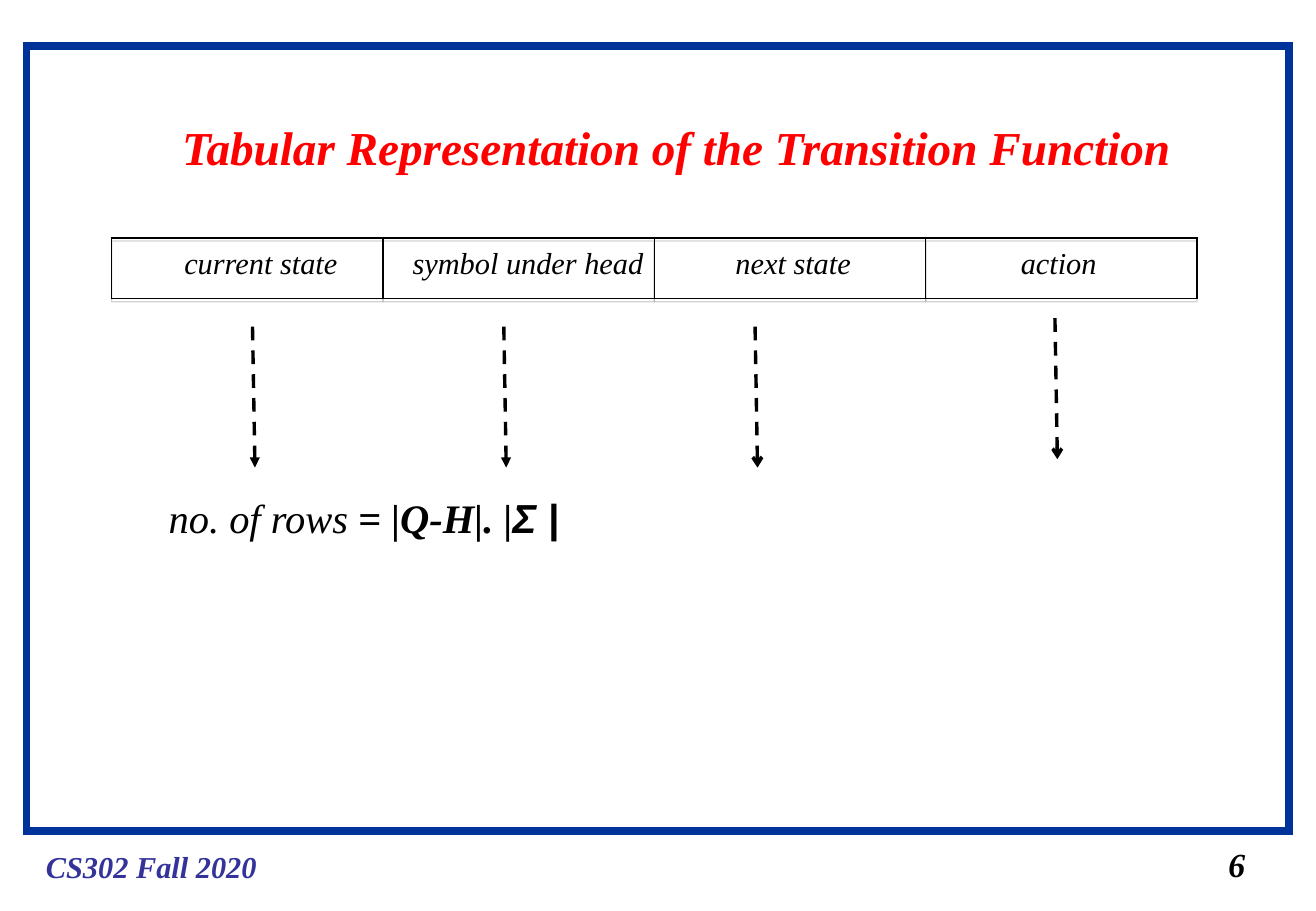
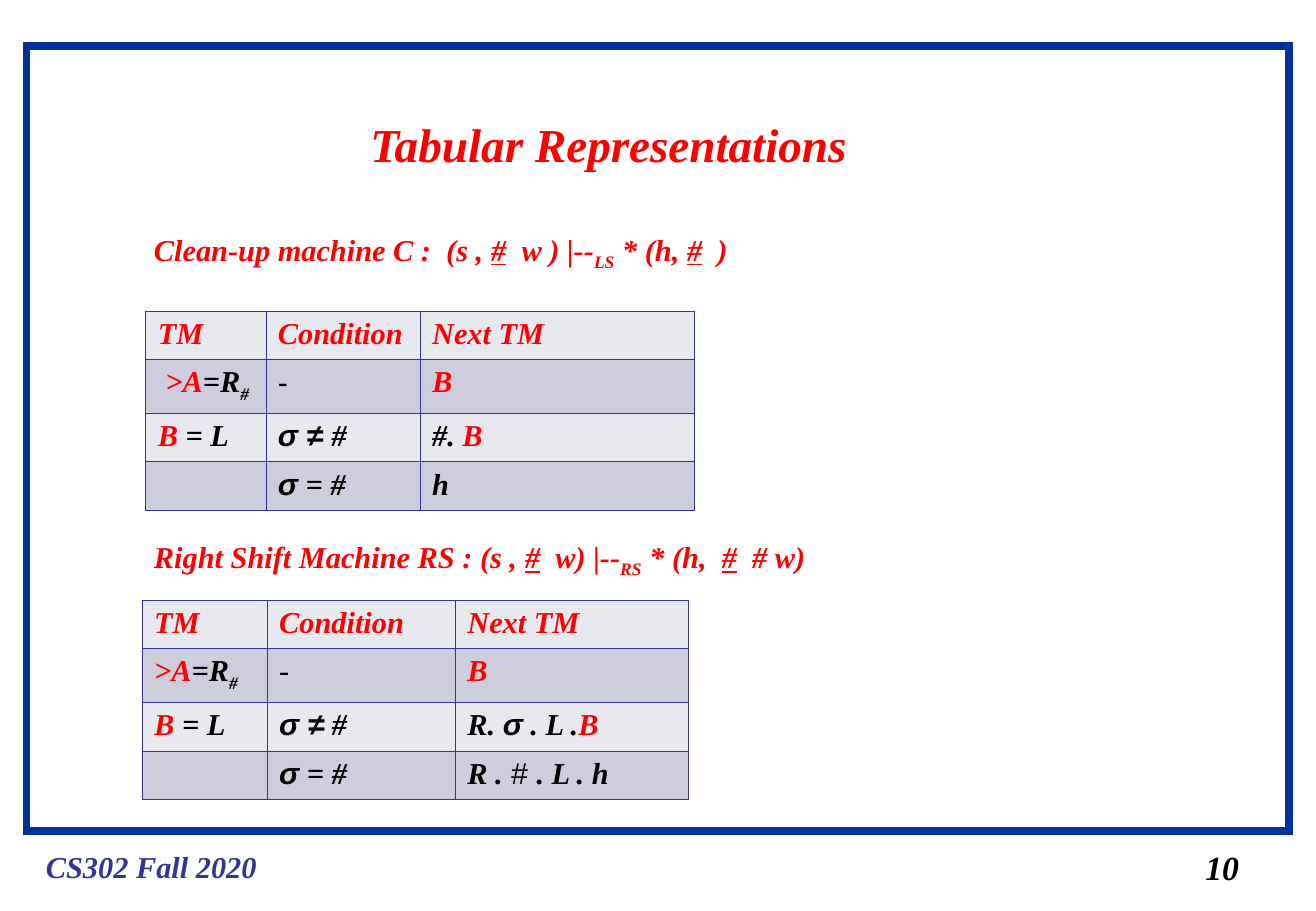
"""Builds two slides on tabular representations of Turing machines."""
import pptx
import pptx.dml.color
import pptx.enum.dml
import pptx.enum.shapes
import pptx.enum.text
import pptx.oxml
import pptx.oxml.ns
import pptx.util

Inches, Pt = pptx.util.Inches, pptx.util.Pt

COLOURS = {"frame": "003399", "footer": "333399", "red": "FF0000", "black": "000000",
           "light": "E8E8EF", "dark": "CDCDDE", "shadow": "808080"}
SERIF, SANS = "Times New Roman", "Arial"
NAMESPACE = pptx.oxml.ns.nsdecls("a")

FOOTER = "CS302 Fall 2020"
FUNCTION_TITLE = ("Tabular Representation of the Transition Function", (1.4, 0.92, 8.39, 0.57))
MACHINES_TITLE = ("Tabular Representations", (2.95, 0.9, 4.16, 0.57))

HEADER_ROW = (0.92, 1.96, 8.94, 0.5)
HEADER_LABELS = [("current state", 1.42, 1.47), ("symbol under head", 3.3, 2.1),
                 ("next state", 5.96, 1.15), ("action", 8.31, 0.82)]
ARROWS = [(2.08, 2.69, "triangle"), (4.15, 2.69, "triangle"),
          (6.22, 2.69, "arrow"), (8.69, 2.62, "arrow")]
ROW_COUNT = [("no. of rows ", "light"), "= |Q-H|. |", ("Σ |", "sans")]

TABLE_HEADER = [[("TM", "red")], [("Condition", "red")], [("Next TM", "red")]]
NEXT_B = ("B", "red")
STEP_LEFT = [NEXT_B, " = L"]
IF_BLANK = [("σ", "sans"), " = #"]
ROW_HEIGHTS = [0.4, 0.44, 0.4, 0.4]
MACHINES = [
    {"heading": ["Clean-up machine C :  (s , ", ("#", "underline"), "  w ) |--", ("LS", "sub"),
                 " * (h, ", ("#", "underline"), "  )"],
     "heading_box": (1.17, 1.85, 5.35, 0.44),
     "corner": (1.2, 2.56), "columns": [0.99, 1.27, 2.26],
     "rows": [TABLE_HEADER,
              [[(" >A", "red"), "=R", ("#", "sub")], [("-", "sans plain")], [NEXT_B]],
              [STEP_LEFT, [("σ ≠ ", "sans"), "#"], ["#. ", NEXT_B]],
              [[], IF_BLANK, ["h"]]]},
    {"heading": ["Right Shift Machine RS : (s , ", ("#", "underline"), "  w) |--", ("RS", "sub"),
                 " * (h,  ", ("#", "underline"), "  # w)"],
     "heading_box": (1.17, 4.38, 5.99, 0.44),
     "corner": (1.17, 4.94), "columns": [1.03, 1.55, 1.92],
     "rows": [TABLE_HEADER,
              [[(">A", "red"), "=R", ("#", "sub")], [("-", "plain")], [NEXT_B]],
              [STEP_LEFT, [("σ ≠", "sans"), " #"],
               ["R. ", ("σ", "sans"), " . L .", NEXT_B]],
              [[], IF_BLANK, ["R .", (" # ", "sans plain"), ". L . h"]]]},
]


def rgb(name):
    return pptx.dml.color.RGBColor.from_string(COLOURS[name])


def inches(box):
    return [Inches(value) for value in box]


def write(frame, runs, size, colour="black", bold=True):
    paragraph = frame.paragraphs[0]
    paragraph.alignment = pptx.enum.text.PP_ALIGN.LEFT
    font = paragraph.font
    font.name, font.size, font.bold, font.italic = SERIF, Pt(size), bold, True
    for item in runs:
        text, style = (item, "") if isinstance(item, str) else item
        run = paragraph.add_run()
        run.text = text
        run.font.color.rgb = rgb("red" if "red" in style else colour)
        if "sans" in style:
            run.font.name = SANS
        if "light" in style:
            run.font.bold = False
        if "plain" in style:
            run.font.bold = run.font.italic = False
        if "underline" in style:
            run.font.underline = True
        if "sub" in style:
            run.font._element.set("baseline", "-25000")


def add_text(slide, box, runs, size, colour="black", bold=True, wrap=False):
    shape = slide.shapes.add_textbox(*inches(box))
    shape.text_frame.word_wrap = wrap
    shape.text_frame.margin_right = 0
    write(shape.text_frame, runs, size, colour, bold)
    return shape


def add_outline(slide, box, colour, width):
    shape = slide.shapes.add_shape(pptx.enum.shapes.MSO_SHAPE.RECTANGLE, *inches(box))
    shape.shadow.inherit = False
    shape.fill.background()
    shape.line.color.rgb = rgb(colour)
    shape.line.width = Pt(width)
    shape.line._get_or_add_ln().append(
        pptx.oxml.parse_xml(f'<a:miter {NAMESPACE} lim="800000"/>'))
    return shape


def add_header_cell(slide, box):
    shape = add_outline(slide, box, "black", 0.75)
    effects = shape._element.spPr.find(pptx.oxml.ns.qn("a:effectLst"))
    effects.append(pptx.oxml.parse_xml(
        f'<a:outerShdw {NAMESPACE} dist="{Pt(1.8)}" dir="5400000" rotWithShape="0">'
        f'<a:srgbClr val="{COLOURS["shadow"]}"><a:alpha val="35000"/></a:srgbClr></a:outerShdw>'))


def add_arrow(slide, left, top, head):
    arrow = slide.shapes.add_connector(pptx.enum.shapes.MSO_CONNECTOR.STRAIGHT,
                                       *inches((left, top, left + 0.02, top + 1.16)))
    arrow.line.color.rgb = rgb("black")
    arrow.line.width = Pt(2)
    arrow.line.dash_style = pptx.enum.dml.MSO_LINE.DASH
    arrow.line._get_or_add_ln().append(
        pptx.oxml.parse_xml(f'<a:tailEnd {NAMESPACE} type="{head}"/>'))
    arrow._element.spPr.append(pptx.oxml.parse_xml(f"<a:effectLst {NAMESPACE}/>"))


def set_borders(cell):
    properties = cell._tc.get_or_add_tcPr()
    for position, side in enumerate(("lnL", "lnR", "lnT", "lnB")):
        properties.insert(position, pptx.oxml.parse_xml(
            f'<a:{side} {NAMESPACE} w="{Pt(0.45)}"><a:solidFill>'
            f'<a:srgbClr val="{COLOURS["footer"]}"/></a:solidFill></a:{side}>'))


def add_machine(slide, machine):
    add_text(slide, machine["heading_box"], machine["heading"], 18, "red", wrap=True)
    rows, columns = machine["rows"], machine["columns"]
    box = (*machine["corner"], sum(columns), sum(ROW_HEIGHTS))
    table = slide.shapes.add_table(len(rows), len(columns), *inches(box)).table
    table.first_row = table.horz_banding = False
    for column, width in zip(table.columns, columns):
        column.width = Inches(width)
    for index, (row, height) in enumerate(zip(table.rows, ROW_HEIGHTS)):
        row.height = Inches(height)
        for cell, runs in zip(row.cells, rows[index]):
            cell.fill.solid()
            cell.fill.fore_color.rgb = rgb("dark" if index % 2 else "light")
            set_borders(cell)
            if runs:
                write(cell.text_frame, runs, 18)


def add_slide(presentation, title, number, number_box):
    slide = presentation.slides.add_slide(presentation.slide_layouts[5])
    text, box = title
    shape = slide.shapes.title
    shape.left, shape.top, shape.width, shape.height = inches(box)
    frame = shape.text_frame
    frame.word_wrap = False
    frame.margin_right = 0
    frame.auto_size = pptx.enum.text.MSO_AUTO_SIZE.NONE
    frame.vertical_anchor = pptx.enum.text.MSO_ANCHOR.TOP
    write(frame, [text], 28, "red")
    add_text(slide, number_box, [number], 20)
    return slide


def move_to_layout(slide, shapes):
    for shape in shapes:
        slide.slide_layout.shapes.element.append(shape._element)


def main():
    presentation = pptx.Presentation()
    presentation.slide_width, presentation.slide_height = inches((10.84, 7.5))

    slide = add_slide(presentation, FUNCTION_TITLE, "6", (10.02, 6.9, 0.34, 0.44))
    move_to_layout(slide, [
        add_outline(slide, (0.22, 0.38, 10.4, 6.46), "frame", 4.5),
        add_text(slide, (0.28, 6.93, 1.93, 0.4), [FOOTER], 18, "footer")])
    left, top, width, height = HEADER_ROW
    cell_width = width / len(HEADER_LABELS)
    for index in range(len(HEADER_LABELS)):
        add_header_cell(slide, (left + index * cell_width, top, cell_width, height))
    for label, label_left, label_width in HEADER_LABELS:
        add_text(slide, (label_left, top, label_width, 0.4), [label], 18, bold=False)
    for arrow in ARROWS:
        add_arrow(slide, *arrow)
    add_text(slide, (1.29, 4.01, 3.54, 0.5), ROW_COUNT, 24, wrap=True)

    slide = add_slide(presentation, MACHINES_TITLE, "10", (9.83, 6.92, 0.48, 0.44))
    for machine in MACHINES:
        add_machine(slide, machine)

    presentation.save("out.pptx")


if __name__ == "__main__":
    main()
